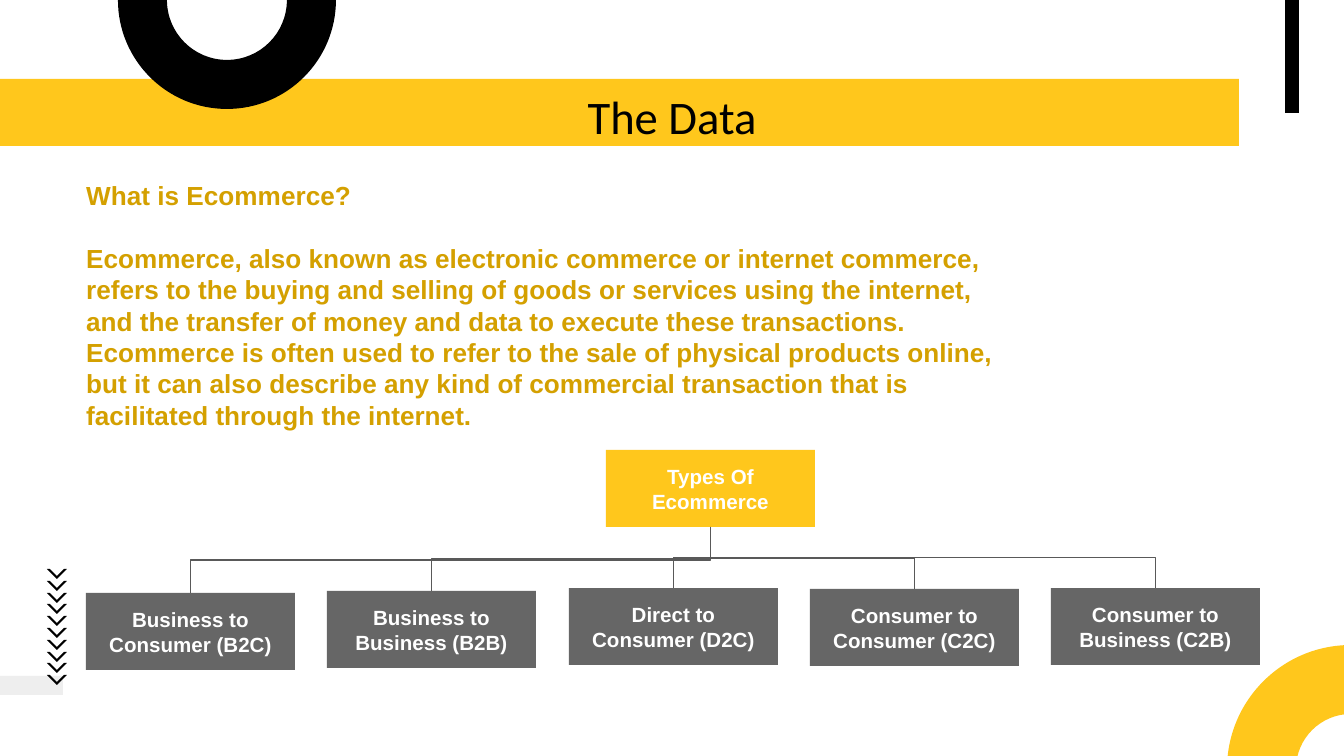
import math
from dataclasses import dataclass

from lxml import etree
from pptx import Presentation
from pptx import util as u
from pptx.dml.color import RGBColor
from pptx.enum import shapes, text
from pptx.oxml.ns import qn

PX = 9144000 / 1344  # EMU per px on a 1344 px wide slide
KAPPA = 0.5523  # handle length of a quarter circle, in radii

YELLOW = RGBColor(0xFF, 0xC7, 0x1C)
GOLD = RGBColor(0xD4, 0xA0, 0x00)
BLACK = RGBColor(0, 0, 0)
WHITE = RGBColor(0xFF, 0xFF, 0xFF)
PALE = RGBColor(0xEE, 0xEE, 0xEE)
GREY = RGBColor(0x66, 0x66, 0x66)
LINE = RGBColor(0x59, 0x59, 0x59)

TITLE_FONT = {"name": "Calibri", "size": u.Pt(25)}
BODY_FONT = {"name": "Arial", "size": u.Pt(14), "bold": True}
NODE_FONT = {"name": "Arial", "size": u.Pt(11), "bold": True}

BODY = (
    "What is Ecommerce?",
    "Ecommerce, also known as electronic commerce or internet commerce, refers to "
    "the buying and selling of goods or services using the internet, and the transfer "
    "of money and data to execute these transactions. Ecommerce is often used to refer "
    "to the sale of physical products online, but it can also describe any kind of "
    "commercial transaction that is facilitated through the internet.",
)


@dataclass(frozen=True)
class Box:
    x: int
    y: int
    w: int
    h: int

    @property
    def center_x(self) -> float:
        return self.x + self.w / 2


@dataclass(frozen=True)
class Node:
    label: str
    box: Box
    fill: RGBColor


@dataclass(frozen=True)
class Ring:
    cx: int
    cy: int
    outer: int
    inner: int
    start: int  # degrees, clockwise from the right
    quarters: int
    fill: RGBColor


NODE_W, NODE_H = 209, 77
ROOT = Node("Types Of Ecommerce", Box(606, 450, NODE_W, NODE_H), YELLOW)
TYPES = (
    ("Business to Consumer (B2C)", 593),
    ("Business to Business (B2B)", 591),
    ("Direct to Consumer (D2C)", 588),
    ("Consumer to Consumer (C2C)", 589),
    ("Consumer to Business (C2B)", 588),
)
CHILDREN = [
    Node(label, Box(86 + round(i * 241.3), y, NODE_W, NODE_H), GREY)
    for i, (label, y) in enumerate(TYPES)
]
BARS = (
    (Box(0, 79, 1239, 67), YELLOW),
    (Box(1285, 0, 14, 113), BLACK),
    (Box(0, 676, 63, 19), PALE),
)
CORNER_RING = Ring(1351, 769, 124, 55, 180, 1, YELLOW)
TOP_RING = Ring(227, 0, 109, 60, 0, 2, BLACK)
CHEVRON = ((47, 0), (57, 10), (67, 0), (64, 0), (57, 7), (50, 0))


def emu(*px: float) -> list[int]:
    return [round(v * PX) for v in px]


def paint(sp, fill: RGBColor) -> None:
    sp.shadow.inherit = False
    sp.fill.solid()
    sp.fill.fore_color.rgb = fill
    sp.line.fill.background()


def add_rect(s, box: Box, fill: RGBColor):
    sp = s.shapes.add_shape(shapes.MSO_SHAPE.RECTANGLE, *emu(box.x, box.y, box.w, box.h))
    paint(sp, fill)
    return sp


def add_polygon(s, points, fill: RGBColor):
    first, *rest = [emu(*point) for point in points]
    builder = s.shapes.build_freeform(*first, scale=1.0)
    builder.add_line_segments(rest, close=True)
    sp = builder.convert_to_shape()
    paint(sp, fill)
    return sp


def arc_points(ring: Ring, radius: int) -> list[tuple[float, float]]:
    """Bezier points of an arc: the start, then three for each quarter."""
    def at(degrees: int, tangent: float) -> tuple[float, float]:
        a = math.radians(degrees)
        return (ring.cx + radius * (math.cos(a) - tangent * math.sin(a)),
                ring.cy + radius * (math.sin(a) + tangent * math.cos(a)))

    points = [at(ring.start, 0)]
    for i in range(ring.quarters):
        a = ring.start + 90 * i
        points += [at(a, KAPPA), at(a + 90, -KAPPA), at(a + 90, 0)]
    return points


def add_ring(s, ring: Ring) -> None:
    outer, inner = arc_points(ring, ring.outer), arc_points(ring, ring.inner)
    sp = add_polygon(s, outer + inner[::-1], ring.fill)
    lines = list(sp._element.iter(qn("a:lnTo")))
    n = 3 * ring.quarters
    for start in (*range(0, n, 3), *range(n + 1, 2 * n + 1, 3)):
        curve = etree.Element(qn("a:cubicBezTo"))
        lines[start].addprevious(curve)
        for line in lines[start:start + 3]:
            curve.append(line[0])
            line.getparent().remove(line)


def write(sp, paragraphs, font: dict, color: RGBColor, align, anchor,
          inset_y: float, gap: float = 0) -> None:
    tf = sp.text_frame
    frame = {
        "word_wrap": True, "vertical_anchor": anchor,
        "margin_left": u.Inches(0.1), "margin_right": u.Inches(0.1),
        "margin_top": u.Inches(inset_y), "margin_bottom": u.Inches(inset_y),
    }
    for name, value in frame.items():
        setattr(tf, name, value)
    for i, line in enumerate(paragraphs):
        p = tf.add_paragraph() if i else tf.paragraphs[0]
        p.alignment = align
        if i and gap:
            p.space_before = u.Pt(gap)
        r = p.add_run()
        r.text = line
        for name, value in font.items():
            setattr(r.font, name, value)
        r.font.color.rgb = color


def add_text(s, box: Box, *args, **kwargs) -> None:
    write(s.shapes.add_textbox(*emu(box.x, box.y, box.w, box.h)), *args, **kwargs)


def add_node(s, node: Node) -> None:
    write(add_rect(s, node.box, node.fill), [node.label], NODE_FONT, WHITE,
          text.PP_ALIGN.CENTER, text.MSO_ANCHOR.MIDDLE, 0.1)


def add_branch(s, parent: Box, child: Box) -> None:
    """Elbow that leaves the parent downwards: a sideways elbow turned a quarter."""
    top = parent.y + parent.h
    drop = child.y - top
    shift = child.center_x - parent.center_x
    mid_x, mid_y = parent.center_x + shift / 2, top + drop / 2
    half_w, half_h = drop / 2, abs(shift) / 2
    line = s.shapes.add_connector(
        shapes.MSO_CONNECTOR.ELBOW,
        *emu(mid_x - half_w, mid_y - half_h, mid_x + half_w, mid_y + half_h))
    line.line.color.rgb = LINE
    line.line.width = u.Pt(0.75)
    props = line._element.spPr
    turn = {"rot": "5400000"} if shift < 0 else {"rot": "16200000", "flipH": "1"}
    for name, value in turn.items():
        props.find(qn("a:xfrm")).set(name, value)
    etree.SubElement(props, qn("a:effectLst"))


def main() -> None:
    prs = Presentation()
    prs.slide_width, prs.slide_height = emu(1344, 756)
    s = prs.slides.add_slide(prs.slide_layouts[6])

    for box, fill in BARS:
        add_rect(s, box, fill)
    add_ring(s, CORNER_RING)
    for i in reversed(range(10)):
        top = 569 + round(i * 11.8)
        add_polygon(s, [(x, top + y) for x, y in CHEVRON], BLACK)
    add_ring(s, TOP_RING)

    add_text(s, Box(105, 79, 1134, 73), ["The Data"], TITLE_FONT, BLACK,
             text.PP_ALIGN.CENTER, text.MSO_ANCHOR.MIDDLE, 0.1)
    add_text(s, Box(73, 173, 948, 267), BODY, BODY_FONT, GOLD,
             text.PP_ALIGN.LEFT, text.MSO_ANCHOR.TOP, 0.05, gap=16.8)

    for node in (ROOT, *CHILDREN):
        add_node(s, node)
    for child in CHILDREN:
        add_branch(s, ROOT.box, child.box)
    prs.save("out.pptx")


if __name__ == "__main__":
    main()
